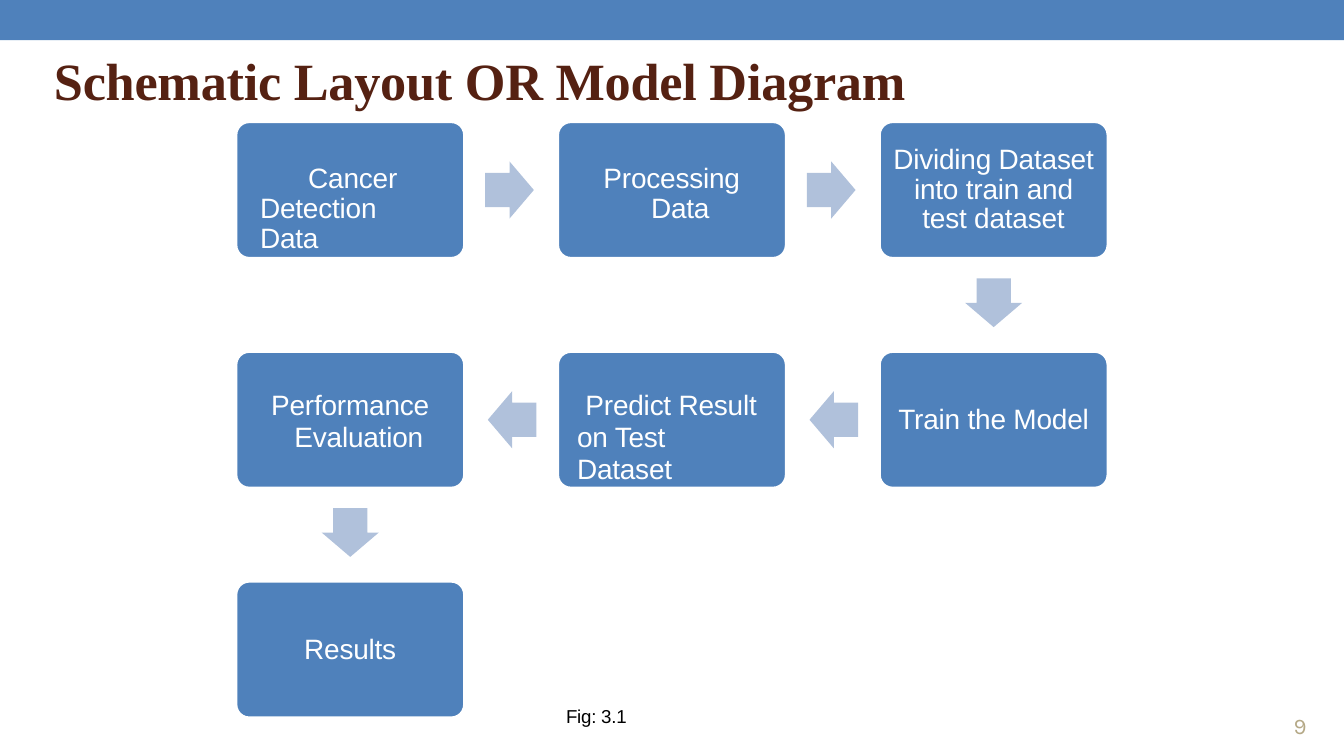
from pptx import Presentation
from pptx.dml.color import RGBColor
from pptx.enum.shapes import MSO_SHAPE
from pptx.enum.text import MSO_ANCHOR, MSO_AUTO_SIZE, PP_ALIGN
from pptx.util import Cm, Pt

RECT = MSO_SHAPE.RECTANGLE
ROUNDED = MSO_SHAPE.ROUNDED_RECTANGLE
RIGHT, LEFT, DOWN = MSO_SHAPE.RIGHT_ARROW, MSO_SHAPE.LEFT_ARROW, MSO_SHAPE.DOWN_ARROW
TOP = MSO_ANCHOR.TOP
NO_FIT = MSO_AUTO_SIZE.NONE
ALIGN_LEFT, ALIGN_CENTER = PP_ALIGN.LEFT, PP_ALIGN.CENTER

BOX_W, BOX_H = 4.34, 2.6
LEFT_X, TOP_Y = 4.45, 2.29
PITCH_X, PITCH_Y = 6.08, 4.34
ARROW_LONG, ARROW_WIDE = 0.92, 1.08

STEPS = [
    (0, 0, "Cancer\vDetection\vData", ALIGN_LEFT, 0.39, 0.91, 0.74, 16),
    (1, 0, "Processing\vData", ALIGN_LEFT, 1.7, -0.9, 0.74, 16),
    (2, 0, "Dividing Dataset\vinto train and\vtest dataset", ALIGN_CENTER, 0, 0, 0.4, 15.6),
    (2, 1, "Train the Model", ALIGN_CENTER, 0, 0, 0.92, 17),
    (1, 1, "Predict Result\von Test\vDataset", ALIGN_LEFT, 0.3, 0.16, 0.65, 17),
    (0, 1, "Performance\vEvaluation", ALIGN_LEFT, 1.04, -0.44, 0.65, 17),
    (0, 2, "Results", ALIGN_CENTER, 0, 0, 0.92, 17),
]


def rgb(value):
    return RGBColor.from_string(value)


class SlideBuilder:
    blue, pale, white = "4F81BB", "B0C1DB", "FFFFFF"

    def __init__(self, slide):
        self.s = slide

    def put_text(self, sp, text, size, font, color, align=ALIGN_LEFT, bold=False):
        tf = sp.text_frame
        tf.auto_size = NO_FIT
        tf.word_wrap = True
        tf.vertical_anchor = TOP
        tf.margin_left = tf.margin_top = tf.margin_right = tf.margin_bottom = 0
        p = tf.paragraphs[0]
        p.text = text
        p.alignment = align
        for r in p.runs:
            r.font.size = Pt(size)
            r.font.name = font
            r.font.bold = bold
            r.font.color.rgb = rgb(color)
            r._r.get_or_add_rPr().set("spc", "-10")
        return p

    def shape(self, kind, x, y, w, h, fill):
        sp = self.s.shapes.add_shape(kind, Cm(x), Cm(y), Cm(w), Cm(h))
        sp.shadow.inherit = False
        sp.fill.solid()
        sp.fill.fore_color.rgb = rgb(fill)
        sp.line.fill.background()
        return sp

    def title(self, text, x, y, w, h):
        sp = self.s.shapes.title
        sp.left, sp.top, sp.width, sp.height = Cm(x), Cm(y), Cm(w), Cm(h)
        self.put_text(sp, text, 28, "Times New Roman", "552112", bold=True)

    def text(self, text, x, y, w, h, size, font, color):
        sp = self.s.shapes.add_textbox(Cm(x), Cm(y), Cm(w), Cm(h))
        self.put_text(sp, text, size, font, color)

    def step(self, col, row, text, align, inset, indent, top, spacing):
        sp = self.shape(ROUNDED, LEFT_X + col * PITCH_X, TOP_Y + row * PITCH_Y,
                        BOX_W, BOX_H, self.blue)
        sp.adjustments[0] = 0.1
        sp.line.color.rgb = rgb(self.white)
        sp.line.width = Pt(2.08)
        p = self.put_text(sp, text, 15, "Arial", self.white, align)
        p.line_spacing = Pt(spacing)
        sp.text_frame.margin_top = Cm(top)
        pPr = p._p.get_or_add_pPr()
        pPr.set("marL", str(int(Cm(inset))))
        pPr.set("indent", str(int(Cm(indent))))

    def arrow(self, start, end):
        x = LEFT_X + min(start[0], end[0]) * PITCH_X
        y = TOP_Y + start[1] * PITCH_Y
        middle = (BOX_H - ARROW_WIDE) / 2
        if end[1] > start[1]:
            sp = self.shape(DOWN, x + (BOX_W - ARROW_WIDE) / 2, y + 2.97,
                            ARROW_WIDE, ARROW_LONG, self.pale)
        elif end[0] > start[0]:
            sp = self.shape(RIGHT, x + 4.72, y + middle, ARROW_LONG, ARROW_WIDE, self.pale)
        else:
            sp = self.shape(LEFT, x + 4.77, y + middle, ARROW_LONG, ARROW_WIDE, self.pale)
        sp.adjustments[0] = 0.6
        sp.adjustments[1] = 0.5


def main():
    prs = Presentation()
    prs.slide_width, prs.slide_height = Cm(25.4), Cm(14.28)
    b = SlideBuilder(prs.slides.add_slide(prs.slide_layouts[5]))

    b.shape(RECT, 0, 0, 25.4, 0.76, b.blue)
    b.title("Schematic Layout OR Model Diagram", 1.02, 0.91, 16.5, 1.24)
    for step in STEPS:
        b.step(*step)
    for start, end in zip(STEPS, STEPS[1:]):
        b.arrow(start[:2], end[:2])
    b.text("Fig: 3.1", 10.7, 13.31, 1.4, 0.48, 10, "Arial", "000000")
    b.text("9", 24.45, 13.46, 0.4, 0.58, 12, "Karla", "B5A987")

    prs.save("out.pptx")


if __name__ == "__main__":
    main()
